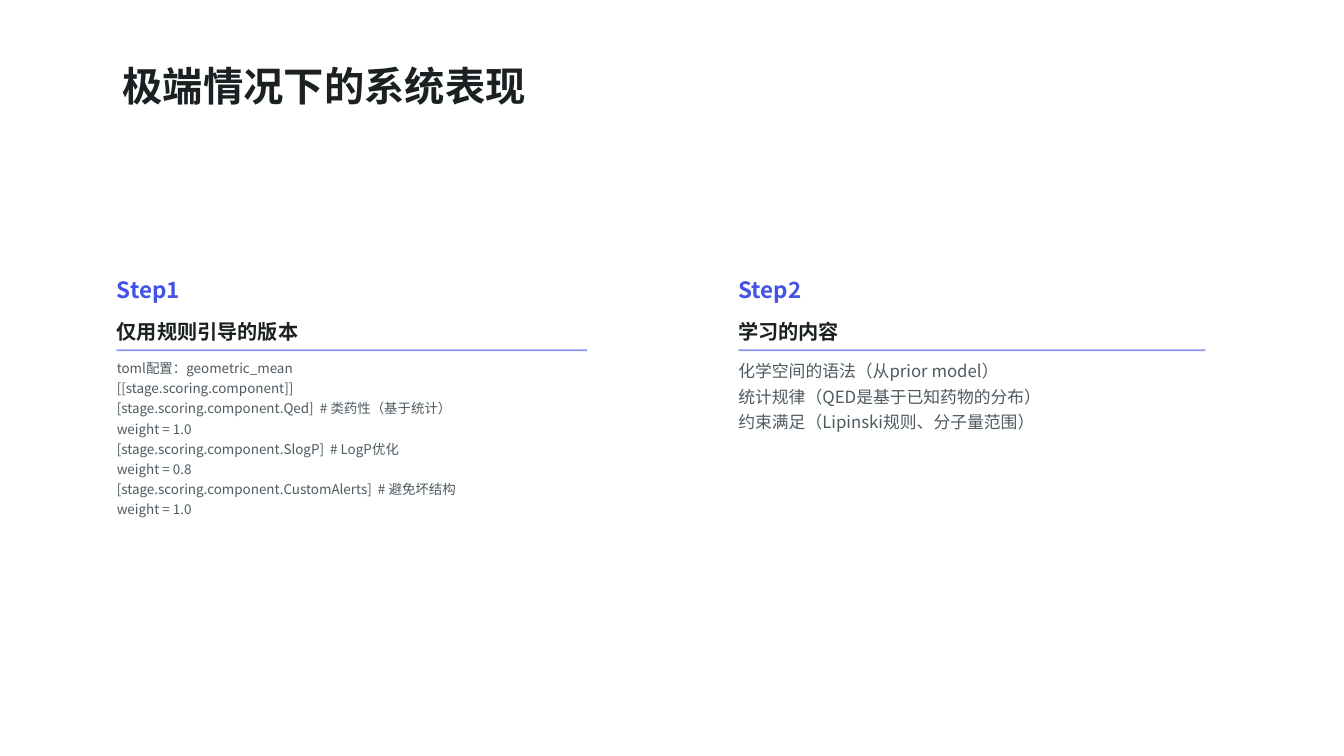
from lxml import etree
from pptx import Presentation
from pptx.dml.color import RGBColor
from pptx.enum.shapes import MSO_CONNECTOR
from pptx.enum.text import MSO_ANCHOR, MSO_AUTO_SIZE, PP_ALIGN
from pptx.oxml.ns import qn
from pptx.util import Pt

PX = 9525
FONT = "Noto Sans CJK SC"
INK = RGBColor(0x1B, 0x20, 0x22)
GREY = RGBColor(0x4D, 0x5B, 0x61)
BLUE = RGBColor(0x43, 0x52, 0xE7)
STRAIGHT = MSO_CONNECTOR.STRAIGHT
TOP, MIDDLE = MSO_ANCHOR.TOP, MSO_ANCHOR.MIDDLE
LEFT = PP_ALIGN.LEFT
FIXED = MSO_AUTO_SIZE.NONE

TITLE = "极端情况下的系统表现"
RULE_LINES = [
    "toml配置：geometric_mean",
    "[[stage.scoring.component]]",
    "[stage.scoring.component.Qed]  # 类药性（基于统计）",
    "weight = 1.0",
    "[stage.scoring.component.SlogP]  # LogP优化",
    "weight = 0.8",
    "[stage.scoring.component.CustomAlerts]  # 避免坏结构",
    "weight = 1.0",
]
LEARNED_LINES = [
    "化学空间的语法（从prior model）",
    "统计规律（QED是基于已知药物的分布）",
    "约束满足（Lipinski规则、分子量范围）",
]
STEPS = [
    ((139, 321, 579, 303), 560, "Step1", "仅用规则引导的版本", RULE_LINES, 12),
    ((879, 321, 580, 303), 556, "Step2", "学习的内容", LEARNED_LINES, 15),
]


def place(shape, box):
    """Move a shape to a box given in px."""
    shape.left, shape.top, shape.width, shape.height = (n * PX for n in box)


def write(shape, lines, size, color, bold=False, anchor=TOP):
    """Fill a shape with evenly formatted lines of text."""
    frame = shape.text_frame
    frame.text = "\n".join(lines)
    frame.word_wrap = True
    frame.auto_size = FIXED
    frame.vertical_anchor = anchor
    frame.margin_left = frame.margin_right = 0
    frame.margin_top = frame.margin_bottom = 0
    for para in frame.paragraphs:
        para.alignment = LEFT
        para.line_spacing = 1.25
        para.space_before = Pt(0)
        for span in para.runs:
            span.font.name = FONT
            span.font.size = Pt(size)
            span.font.bold = bold
            span.font.color.rgb = color
            east = etree.SubElement(span.font._element, qn("a:ea"))
            east.set("typeface", FONT)


def add_text(page, box, lines, size, color, bold=False):
    """Add a text box at a px box."""
    shape = page.shapes.add_textbox(0, 0, 0, 0)
    place(shape, box)
    write(shape, lines, size, color, bold)


def add_rule(page, left, top, width):
    """Draw a translucent horizontal rule."""
    rule = page.shapes.add_connector(
        STRAIGHT, left * PX, top * PX, (left + width) * PX, top * PX)
    rule.line.width = Pt(1.5)
    rule.line.color.rgb = BLUE
    color = rule.line._ln.find(".//" + qn("a:srgbClr"))
    etree.SubElement(color, qn("a:alpha")).set("val", "60000")
    etree.SubElement(rule._element.spPr, qn("a:effectLst"))


def add_title(page, box):
    """Place and format the slide title."""
    title = page.shapes.title
    place(title, box)
    write(title, [TITLE], 36, INK, True, MIDDLE)


def add_step(page, box, rule_width, label, heading, lines, size):
    """Stack a step label, heading, rule and body inside a box."""
    left, top, width, height = box
    add_text(page, (left, top, 118, 40), [label], 20, BLUE, True)
    add_text(page, (left, top + 52, width, 36), [heading], 18, INK, True)
    add_rule(page, left, top + 96, rule_width)
    add_text(page, (left, top + 103, width, height - 103), lines, size, GREY)


def main():
    """Build and save the deck."""
    deck = Presentation()
    deck.slide_width, deck.slide_height = 1600 * PX, 900 * PX
    page = deck.slides.add_slide(deck.slide_layouts[5])
    add_title(page, (146, 50, 1370, 88))
    for step in STEPS:
        add_step(page, *step)
    deck.save("out.pptx")


if __name__ == "__main__":
    main()
